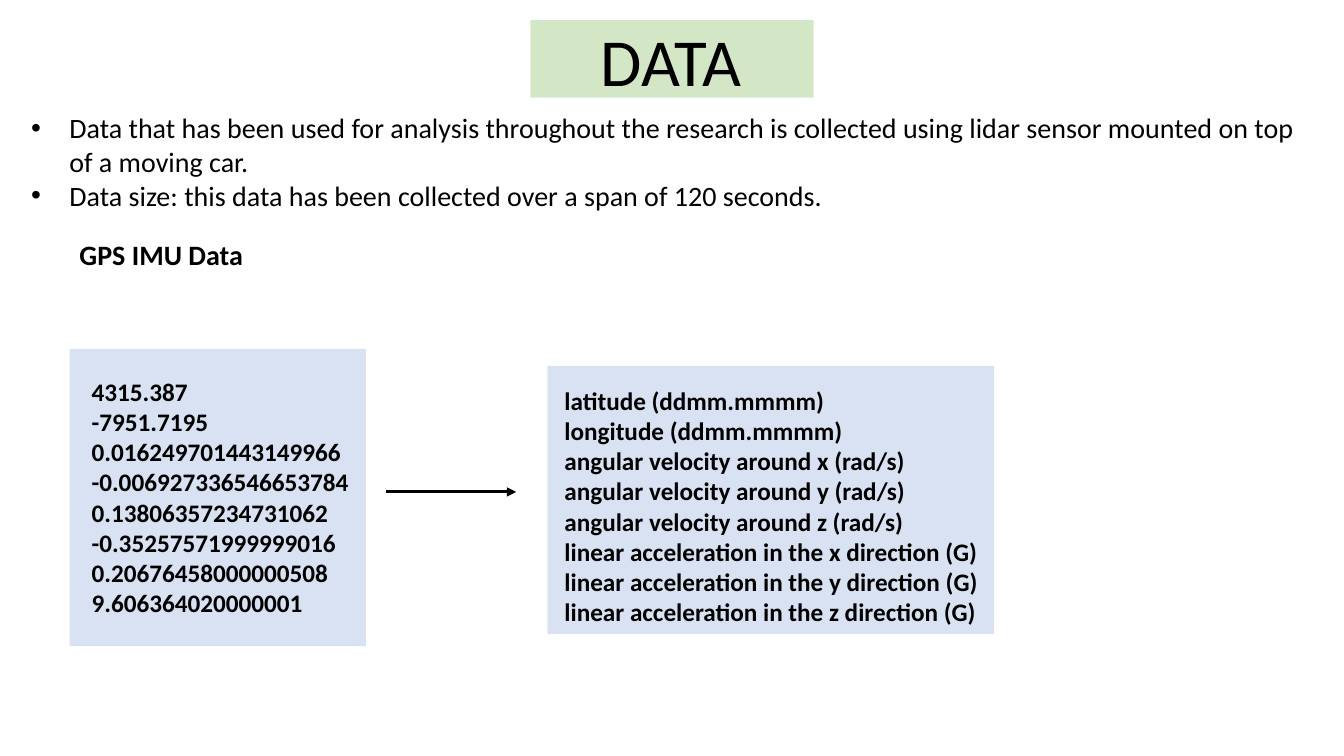
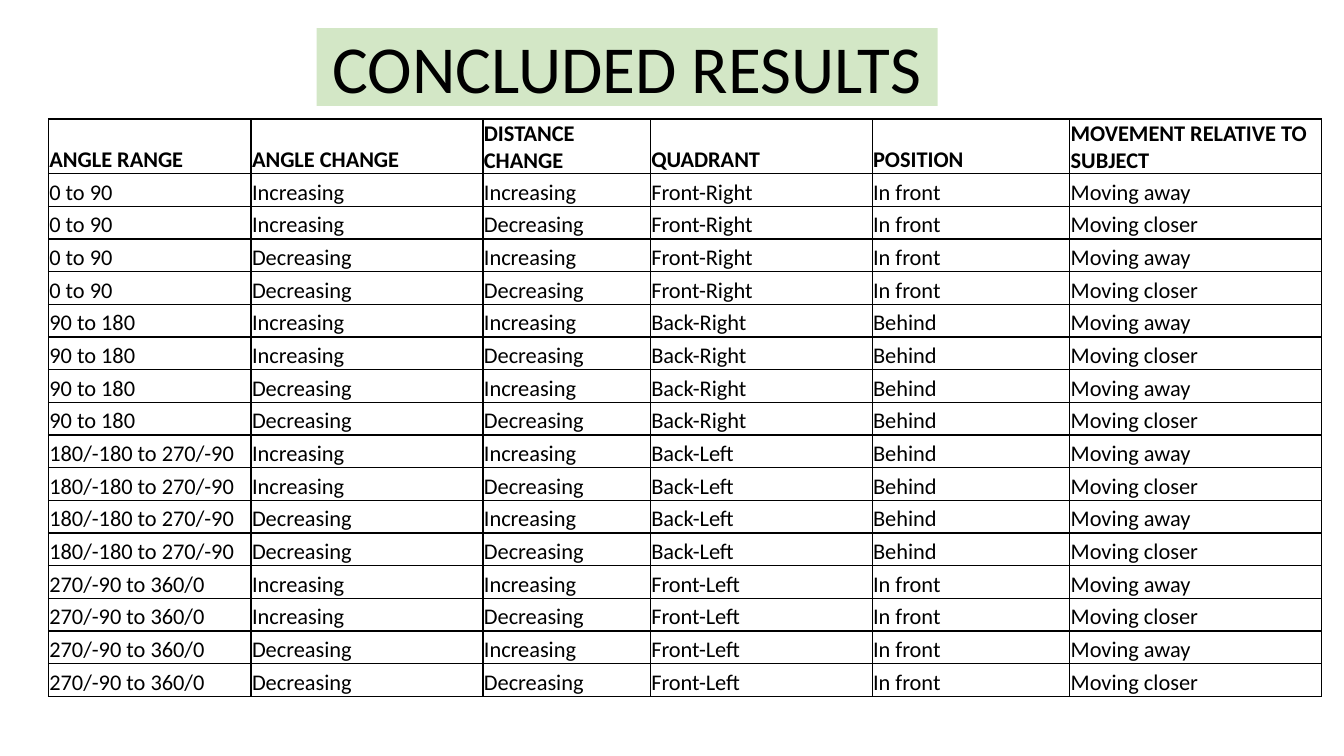
from dataclasses import dataclass
from itertools import product
from typing import NamedTuple

from lxml.etree import SubElement
from pptx import Presentation
from pptx.dml.color import RGBColor
from pptx.enum.shapes import MSO_CONNECTOR, MSO_SHAPE
from pptx.enum.text import MSO_ANCHOR, MSO_AUTO_SIZE
from pptx.oxml.ns import qn
from pptx.slide import Slide
from pptx.table import _Cell
from pptx.text.text import _Paragraph
from pptx.util import Emu, Pt

EMU_PER_PX = 9144  # 100 px to the inch


@dataclass(frozen=True)
class Theme:
    font: str = "Calibri"
    ink: str = "000000"
    title_band: str = "A9D18E"
    panel: str = "B4C7E7"
    opacity: int = 50
    title_size: int = 48
    body_size: int = 20
    panel_size: int = 18
    table_size: int = 16
    arrow_width: float = 2.25
    border_width: int = 1


THEME = Theme()


class Box(NamedTuple):
    left: int
    top: int
    width: int
    height: int


class Panel(NamedTuple):
    area: Box
    text_area: Box
    lines: tuple[str, ...]


class Sector(NamedTuple):
    angle_range: str
    quadrant: str
    position: str


PANELS = (
    Panel(Box(69, 346, 294, 295), Box(81, 368, 281, 252), (
        "4315.387",
        "-7951.7195",
        "0.016249701443149966",
        "-0.006927336546653784",
        "0.13806357234731062",
        "-0.35257571999999016",
        "0.20676458000000508",
        "9.606364020000001",
    )),
    Panel(Box(543, 363, 443, 266), Box(550, 377, 443, 252), (
        "latitude (ddmm.mmmm)",
        "longitude (ddmm.mmmm)",
        *(f"angular velocity around {axis} (rad/s)" for axis in "xyz"),
        *(f"linear acceleration in the {axis} direction (G)" for axis in "xyz"),
    )),
)

HEADERS = ("ANGLE RANGE", "ANGLE CHANGE", "DISTANCE CHANGE", "QUADRANT",
           "POSITION", "MOVEMENT RELATIVE TO SUBJECT")
COLUMN_WIDTHS = (201, 230, 166, 220, 196, 250)
HEADER_HEIGHT = 54
SECTORS = (
    Sector("0 to 90", "Front-Right", "In front"),
    Sector("90 to 180", "Back-Right", "Behind"),
    Sector("180/-180 to 270/-90", "Back-Left", "Behind"),
    Sector("270/-90 to 360/0", "Front-Left", "In front"),
)
MOVEMENTS = {"Increasing": "Moving away", "Decreasing": "Moving closer"}


def px(length: float) -> Emu:
    return Emu(round(length * EMU_PER_PX))


def place(box: Box) -> tuple[Emu, ...]:
    return tuple(px(length) for length in box)


def style(paragraph: _Paragraph, size: int, bold: bool = False) -> None:
    font = paragraph.font
    font.name, font.size, font.bold = THEME.font, Pt(size), bold
    font.color.rgb = RGBColor.from_string(THEME.ink)


def add_bullet(paragraph: _Paragraph, indent: int) -> None:
    properties = paragraph._p.get_or_add_pPr()
    properties.set("marL", str(px(indent)))
    properties.set("indent", str(-px(indent)))
    SubElement(properties, qn("a:buFont"), typeface="Arial")
    SubElement(properties, qn("a:buChar"), char="•")


def add_text(slide: Slide, box: Box, *texts: str, size: int, bold: bool = False,
             wrap: bool = False, bullet_indent: int = 0) -> None:
    frame = slide.shapes.add_textbox(*place(box)).text_frame
    frame.word_wrap = wrap
    frame.auto_size = MSO_AUTO_SIZE.SHAPE_TO_FIT_TEXT
    for index, text in enumerate(texts):
        paragraph = frame.add_paragraph() if index else frame.paragraphs[0]
        paragraph.text = text
        if bullet_indent:
            add_bullet(paragraph, bullet_indent)
        style(paragraph, size, bold)


def add_tint(slide: Slide, box: Box, color: str) -> None:
    shape = slide.shapes.add_shape(MSO_SHAPE.RECTANGLE, *place(box))
    shape.shadow.inherit = False
    shape.line.fill.background()
    shape.fill.solid()
    shape.fill.fore_color.rgb = RGBColor.from_string(color)
    color_element = shape._element.spPr.find(qn("a:solidFill"))[0]
    SubElement(color_element, qn("a:alpha"), val=str(THEME.opacity * 1000))


def add_title(slide: Slide, text: str, band: Box, text_area: Box) -> None:
    add_tint(slide, band, THEME.title_band)
    add_text(slide, text_area, text, size=THEME.title_size)


def add_panel(slide: Slide, panel: Panel) -> None:
    add_tint(slide, panel.area, THEME.panel)
    add_text(slide, panel.text_area, "\n".join(panel.lines),
             size=THEME.panel_size, bold=True, wrap=True)


def add_arrow(slide: Slide, left: int, right: int, y: int) -> None:
    arrow = slide.shapes.add_connector(
        MSO_CONNECTOR.STRAIGHT, px(left), px(y), px(right), px(y))
    arrow.line.width = Pt(THEME.arrow_width)
    arrow.line.color.rgb = RGBColor.from_string(THEME.ink)
    SubElement(arrow.line._get_or_add_ln(), qn("a:tailEnd"), type="triangle")
    SubElement(arrow._element.spPr, qn("a:effectLst"))


def fill_cell(cell: _Cell, text: str, bold: bool) -> None:
    cell.margin_left = cell.margin_right = cell.margin_top = px(1)
    cell.margin_bottom = px(0)
    cell.vertical_anchor = MSO_ANCHOR.BOTTOM
    properties = cell._tc.get_or_add_tcPr()
    for side in ("lnL", "lnR", "lnT", "lnB"):
        border = SubElement(properties, qn(f"a:{side}"),
                            w=str(Pt(THEME.border_width)))
        line_fill = SubElement(border, qn("a:solidFill"))
        SubElement(line_fill, qn("a:srgbClr"), val=THEME.ink)
    cell.fill.background()
    paragraph = cell.text_frame.paragraphs[0]
    paragraph.text = text
    style(paragraph, THEME.table_size, bold)


def add_results_table(slide: Slide, box: Box) -> None:
    rows = [HEADERS] + [
        (sector.angle_range, angle, distance, sector.quadrant,
         sector.position, MOVEMENTS[distance])
        for sector, angle, distance in product(SECTORS, MOVEMENTS, MOVEMENTS)
    ]
    table = slide.shapes.add_table(len(rows), len(HEADERS), *place(box)).table
    table.first_row = table.horz_banding = False
    for column, width in zip(table.columns, COLUMN_WIDTHS):
        column.width = px(width)
    body_height = (box.height - HEADER_HEIGHT) / (len(rows) - 1)
    for row_index, texts in enumerate(rows):
        is_header = row_index == 0
        table.rows[row_index].height = px(HEADER_HEIGHT if is_header else body_height)
        for column_index, text in enumerate(texts):
            fill_cell(table.cell(row_index, column_index), text, is_header)


def build_data_slide(slide: Slide) -> None:
    add_title(slide, "DATA", Box(526, 20, 281, 77), Box(586, 14, 161, 91))
    add_text(
        slide, Box(21, 105, 1290, 145),
        "Data that has been used for analysis throughout the research is collected "
        "using lidar sensor mounted on top\nof a moving car.",
        "Data size: this data has been collected over a span of 120 seconds.",
        size=THEME.body_size, bullet_indent=38)
    add_text(slide, Box(69, 231, 184, 44), "GPS IMU Data",
             size=THEME.body_size, bold=True)
    # Sample readings and what each one means
    for panel in PANELS:
        add_panel(slide, panel)
    add_arrow(slide, 383, 512, 488)


def build_results_slide(slide: Slide) -> None:
    add_title(slide, "CONCLUDED RESULTS", Box(314, 28, 616, 77), Box(320, 21, 610, 91))
    add_results_table(slide, Box(48, 118, sum(COLUMN_WIDTHS), 573))


def main() -> None:
    presentation = Presentation()
    presentation.slide_width, presentation.slide_height = px(1333), px(750)
    blank_layout = presentation.slide_layouts[6]
    for build in (build_data_slide, build_results_slide):
        build(presentation.slides.add_slide(blank_layout))
    presentation.save("out.pptx")


if __name__ == "__main__":
    main()
